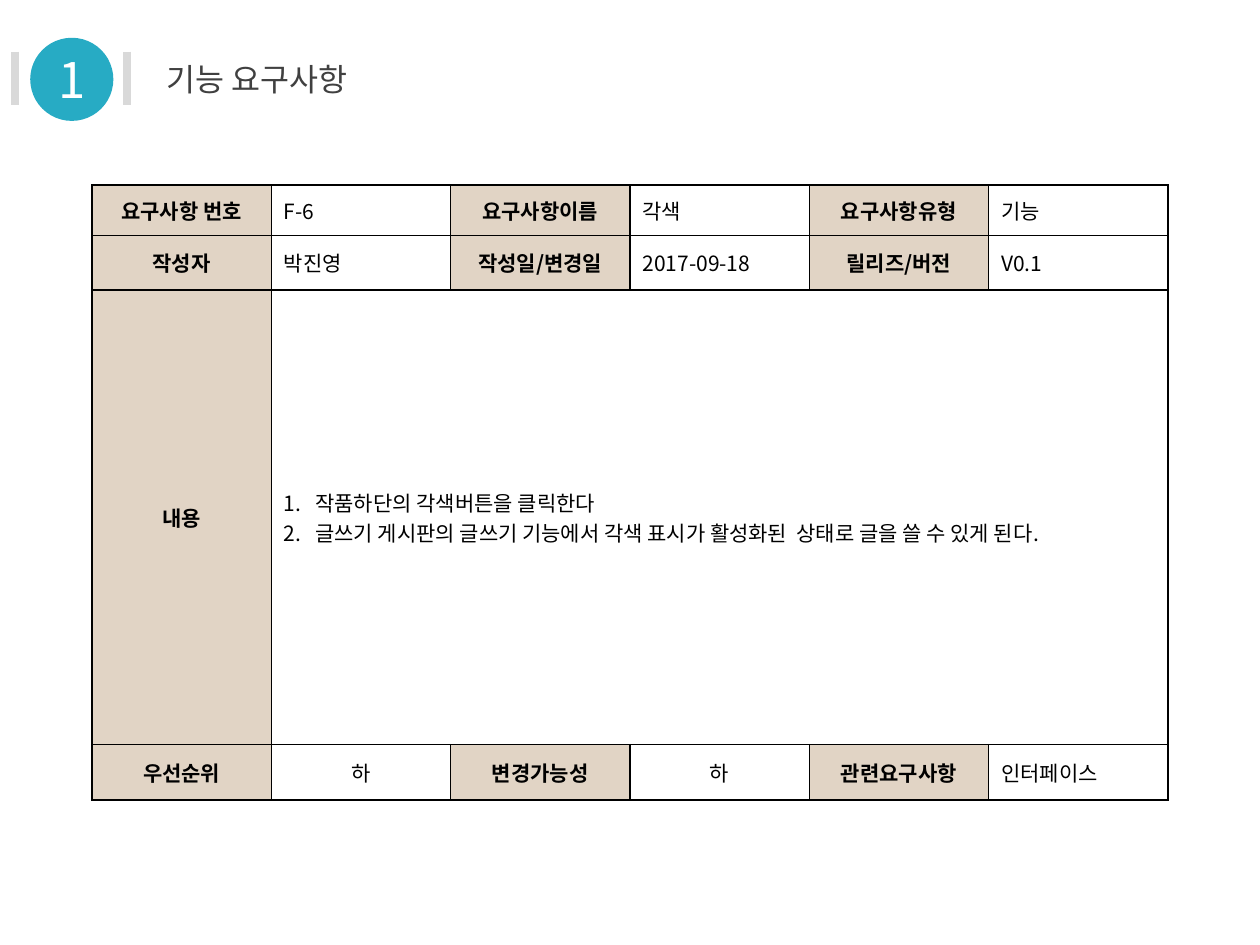
from pptx import Presentation
from pptx.dml.color import RGBColor
from pptx.enum.shapes import MSO_CONNECTOR, MSO_SHAPE
from pptx.enum.text import MSO_ANCHOR, MSO_AUTO_SIZE, PP_ALIGN
from pptx.oxml.ns import qn
from pptx.util import Inches, Pt
from lxml import etree

LEFT, CENTER = PP_ALIGN.LEFT, PP_ALIGN.CENTER
TOP, MIDDLE = MSO_ANCHOR.TOP, MSO_ANCHOR.MIDDLE

FONT = "Noto Sans CJK KR"
BLACK = RGBColor(0x00, 0x00, 0x00)
WHITE = RGBColor(0xFF, 0xFF, 0xFF)
DARK_GRAY = RGBColor(0x40, 0x40, 0x40)
LIGHT_GRAY = RGBColor(0xD9, 0xD9, 0xD9)
TEAL = RGBColor(0x27, 0xAB, 0xC4)
BEIGE = RGBColor(0xE1, 0xD4, 0xC5)

# Content: labels and values alternate along each row
TITLE = "기능 요구사항"
SECTION_NUMBER = "1"
STEPS = [
    "작품하단의 각색버튼을 클릭한다",
    "글쓰기 게시판의 글쓰기 기능에서 각색 표시가 활성화된  상태로 글을 쓸 수 있게 된다.",
]
ROWS = [
    ["요구사항 번호", "F-6", "요구사항이름", "각색", "요구사항유형", "기능"],
    ["작성자", "박진영", "작성일/변경일", "2017-09-18", "릴리즈/버전", "V0.1"],
    ["내용", STEPS],
    ["우선순위", "하", "변경가능성", "하", "관련요구사항", "인터페이스"],
]
CENTERED_VALUES = {"하"}

COLUMN_COUNT = 6
TABLE_LEFT, TABLE_TOP, TABLE_WIDTH = 0.73, 1.47, 8.54
ROW_HEIGHTS = [0.4, 0.43, 3.61, 0.44]
BAR_POSITIONS = [0.12, 1.01]


def add_text(paragraph, text, size, color, align=LEFT, bold=False):
    paragraph.alignment = align
    run = paragraph.add_run()
    run.text = text
    font = run.font
    font.name, font.size, font.bold = FONT, Pt(size), bold
    font.color.rgb = color
    east_asian = etree.SubElement(font._element, qn("a:ea"))
    east_asian.set("typeface", FONT)


def number_paragraph(paragraph):
    properties = paragraph._p.get_or_add_pPr()
    properties.set("marL", str(Inches(0.25)))
    properties.set("indent", str(Inches(-0.25)))
    etree.SubElement(properties, qn("a:buFont")).set("typeface", FONT)
    etree.SubElement(properties, qn("a:buAutoNum")).set("type", "arabicPeriod")


def add_borders(cell):
    properties = cell._tc.get_or_add_tcPr()
    for side in ("a:lnL", "a:lnR", "a:lnT", "a:lnB"):
        line = etree.SubElement(properties, qn(side), w=str(Pt(1)))
        fill = etree.SubElement(line, qn("a:solidFill"))
        etree.SubElement(fill, qn("a:srgbClr"), val=str(BLACK))


def fill_cell(cell, content, is_label):
    cell.vertical_anchor = MIDDLE
    if isinstance(content, list):
        for index, step in enumerate(content):
            frame = cell.text_frame
            paragraph = frame.add_paragraph() if index else frame.paragraphs[0]
            add_text(paragraph, step, 12, BLACK)
            number_paragraph(paragraph)
    else:
        align = CENTER if is_label or content in CENTERED_VALUES else LEFT
        add_text(cell.text_frame.paragraphs[0], content, 12, BLACK, align, is_label)


def add_heading(slide):
    title = slide.shapes.title
    title.left, title.top = Inches(1.22), Inches(0.43)
    title.width, title.height = Inches(1.89), Inches(0.4)
    frame = title.text_frame
    frame.word_wrap = True
    frame.auto_size = MSO_AUTO_SIZE.SHAPE_TO_FIT_TEXT
    frame.vertical_anchor = TOP
    add_text(frame.paragraphs[0], TITLE, 18, DARK_GRAY)

    # Section number between two bars
    badge = slide.shapes.add_shape(
        MSO_SHAPE.OVAL, Inches(0.24), Inches(0.3), Inches(0.66), Inches(0.66))
    badge.shadow.inherit = False
    badge.fill.solid()
    badge.fill.fore_color.rgb = TEAL
    badge.line.fill.background()
    badge.text_frame.vertical_anchor = MIDDLE
    add_text(badge.text_frame.paragraphs[0], SECTION_NUMBER, 28, WHITE, CENTER)
    for x in BAR_POSITIONS:
        bar = slide.shapes.add_connector(
            MSO_CONNECTOR.STRAIGHT, Inches(x), Inches(0.41), Inches(x), Inches(0.83))
        bar.line.color.rgb = LIGHT_GRAY
        bar.line.width = Pt(4.5)
        etree.SubElement(bar._element.spPr, qn("a:effectLst"))


def add_requirements(slide):
    table = slide.shapes.add_table(
        len(ROWS), COLUMN_COUNT, Inches(TABLE_LEFT), Inches(TABLE_TOP),
        Inches(TABLE_WIDTH), Inches(sum(ROW_HEIGHTS))).table
    table.first_row = table.horz_banding = False
    for column in table.columns:
        column.width = Inches(TABLE_WIDTH / COLUMN_COUNT)
    for r, (contents, height) in enumerate(zip(ROWS, ROW_HEIGHTS)):
        table.rows[r].height = Inches(height)
        for c in range(COLUMN_COUNT):
            cell = table.cell(r, c)
            is_label = c % 2 == 0 and c < len(contents)
            add_borders(cell)
            cell.fill.solid()
            cell.fill.fore_color.rgb = BEIGE if is_label else WHITE
            if c < len(contents):
                fill_cell(cell, contents[c], is_label)
        # The last value of a short row spans the remaining columns
        if len(contents) < COLUMN_COUNT:
            table.cell(r, len(contents) - 1).merge(table.cell(r, COLUMN_COUNT - 1))


def main():
    prs = Presentation()
    prs.slide_width, prs.slide_height = Inches(10), Inches(7.5)
    slide = prs.slides.add_slide(prs.slide_layouts[5])
    add_heading(slide)
    add_requirements(slide)
    prs.save("out.pptx")


if __name__ == "__main__":
    main()
